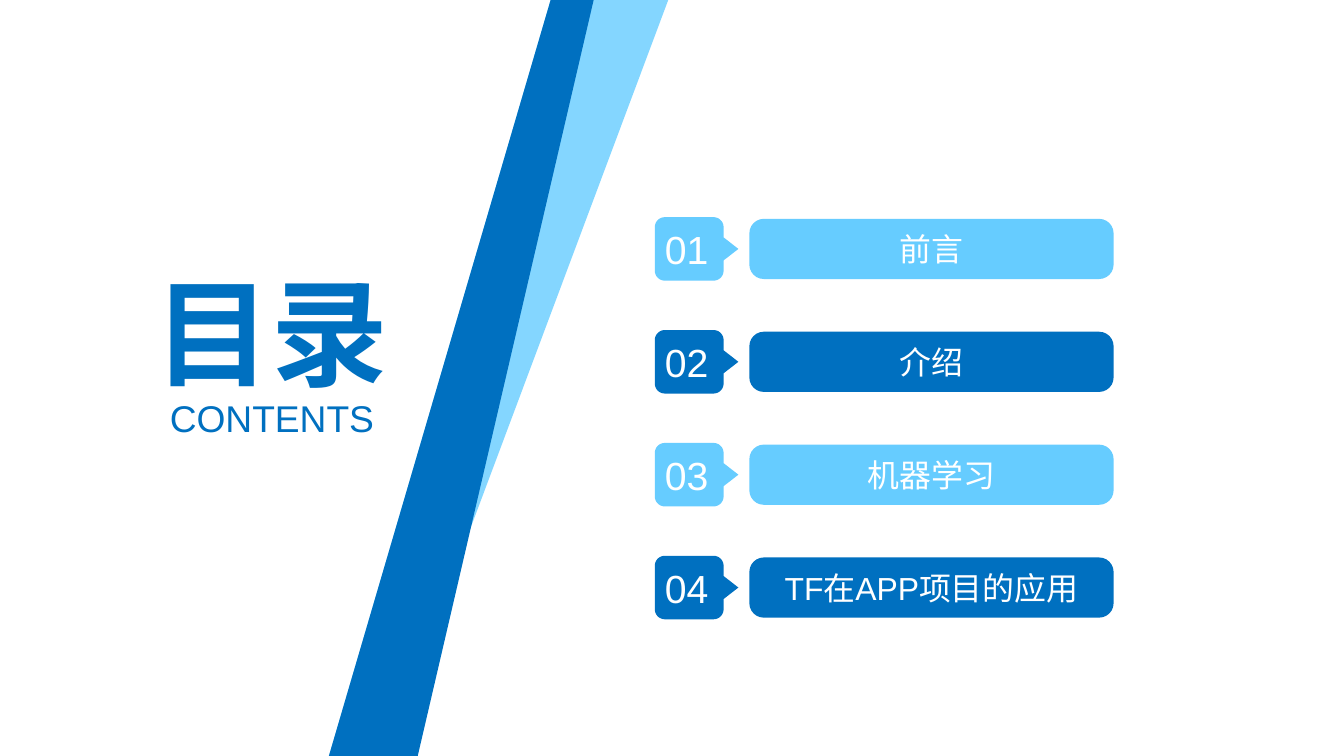
from math import cos, sin, radians

from pptx import Presentation
from pptx.dml.color import RGBColor
from pptx.enum.shapes import MSO_SHAPE as SHAPE
from pptx.enum.text import MSO_ANCHOR as ANCHOR, MSO_AUTO_SIZE as AUTO, PP_ALIGN as ALIGN
from pptx.oxml.ns import qn
from pptx.util import Inches, Pt
from lxml.etree import SubElement

WIDTH, HEIGHT = Inches(14.06), Inches(7.91)
COL, ROW = WIDTH / 100, HEIGHT / 100

BLUE = RGBColor(0x00, 0x70, 0xC0)
SKY = RGBColor(0x66, 0xCC, 0xFF)
WHITE = RGBColor(0xFF, 0xFF, 0xFF)

ITEMS = ["前言", "介绍", "机器学习", "TF在APP项目的应用"]
FIRST_MIDDLE, PITCH = 32.93, 14.93
BADGE_LEFT, BADGE_BODY, BADGE_WIDTH, BADGE_HEIGHT = 48.72, 5.12, 6.22, 8.4
BAR_LEFT, BAR_WIDTH, BAR_HEIGHT = 55.76, 27.1, 7.96


def write(shape, text, size, color, bold=False, anchor=ANCHOR.MIDDLE, insets=(0, 0, 0, 0)):
    tf = shape.text_frame
    left, top, right, bottom = map(Inches, insets)
    frame = dict(word_wrap=True, auto_size=AUTO.NONE, vertical_anchor=anchor,
                 margin_left=left, margin_top=top, margin_right=right, margin_bottom=bottom)
    for name, value in frame.items():
        setattr(tf, name, value)
    p = tf.paragraphs[0]
    p.alignment, p.space_before, p.line_spacing = ALIGN.CENTER, Pt(0), 1
    r = p.add_run()
    r.text = text
    for name, value in dict(name="Arial", size=Pt(size), bold=bold).items():
        setattr(r.font, name, value)
    r.font.color.rgb = color


def paint(shape, color):
    shape.shadow.inherit = False
    shape.fill.solid()
    shape.fill.fore_color.rgb = color
    shape.line.fill.background()


def add_outline(s, points, color):
    """Closed polygon through points given in EMU."""
    builder = s.shapes.build_freeform(*points[0])
    builder.add_line_segments(points[1:])
    sp = builder.convert_to_shape()
    paint(sp, color)
    return sp


def add_band(s, top_left, top_right, bottom_right, bottom_left, color):
    """Slanted band over the full height, edges given in columns."""
    return add_outline(s, [(top_left * COL, 0), (top_right * COL, 0),
                           (bottom_right * COL, HEIGHT), (bottom_left * COL, HEIGHT)], color)


def set_opacity(shape, percent):
    color = shape.fill._xPr.find(qn("a:solidFill"))[0]
    SubElement(color, qn("a:alpha")).set("val", str(percent * 1000))


def corner(x, y, radius, start):
    """Quarter circle around (x, y), clockwise from the start angle."""
    angles = [radians(start + step) for step in range(0, 91, 10)]
    return [(x + radius * cos(a), y + radius * sin(a)) for a in angles]


def add_badge(s, middle, text, color):
    """Rounded box with a pointer on its right side."""
    radius, notch = 0.75 * COL, 1.52 * ROW
    left, right = BADGE_LEFT * COL, (BADGE_LEFT + BADGE_BODY) * COL
    top, bottom = (middle - BADGE_HEIGHT / 2) * ROW, (middle + BADGE_HEIGHT / 2) * ROW
    y, tip = middle * ROW, (BADGE_LEFT + BADGE_WIDTH) * COL
    points = (corner(left + radius, top + radius, radius, 180)
              + corner(right - radius, top + radius, radius, 270)
              + [(right, y - notch), (tip, y), (right, y + notch)]
              + corner(right - radius, bottom - radius, radius, 0)
              + corner(left + radius, bottom - radius, radius, 90))
    write(add_outline(s, points, color), text, 29.5, WHITE, insets=(0, 0.05, 0.21, 0.05))


def add_bar(s, middle, text, color):
    sp = s.shapes.add_shape(SHAPE.ROUNDED_RECTANGLE, int(BAR_LEFT * COL),
                            int((middle - BAR_HEIGHT / 2) * ROW),
                            int(BAR_WIDTH * COL), int(BAR_HEIGHT * ROW))
    sp.adjustments[0] = 0.24
    paint(sp, color)
    write(sp, text, 24, WHITE)


def fill_placeholder(shape, left, top, width, height, text, size, bold=False):
    box = dict(left=left * COL, top=top * ROW, width=width * COL, height=height * ROW)
    for name, value in box.items():
        setattr(shape, name, int(value))
    write(shape, text, size, BLUE, bold, ANCHOR.TOP)


def main():
    prs = Presentation()
    prs.slide_width, prs.slide_height = WIDTH, HEIGHT
    s = prs.slides.add_slide(prs.slide_layouts[0])

    title, subtitle = s.placeholders
    fill_placeholder(title, 11.31, 34.51, 17.71, 18.71, "目录", 88, True)
    fill_placeholder(subtitle, 10.95, 52.34, 18.56, 5.94, "CONTENTS", 28)

    for i, item in enumerate(ITEMS):
        middle, color = FIRST_MIDDLE + i * PITCH, (SKY, BLUE)[i % 2]
        add_bar(s, middle, item, color)
        add_badge(s, middle, f"{i + 1:02}", color)

    set_opacity(add_band(s, 40.97, 49.72, 28.66, 24.47, SKY), 80)
    add_band(s, 40.97, 44.17, 31.08, 24.47, BLUE)

    prs.save("out.pptx")


if __name__ == "__main__":
    main()
